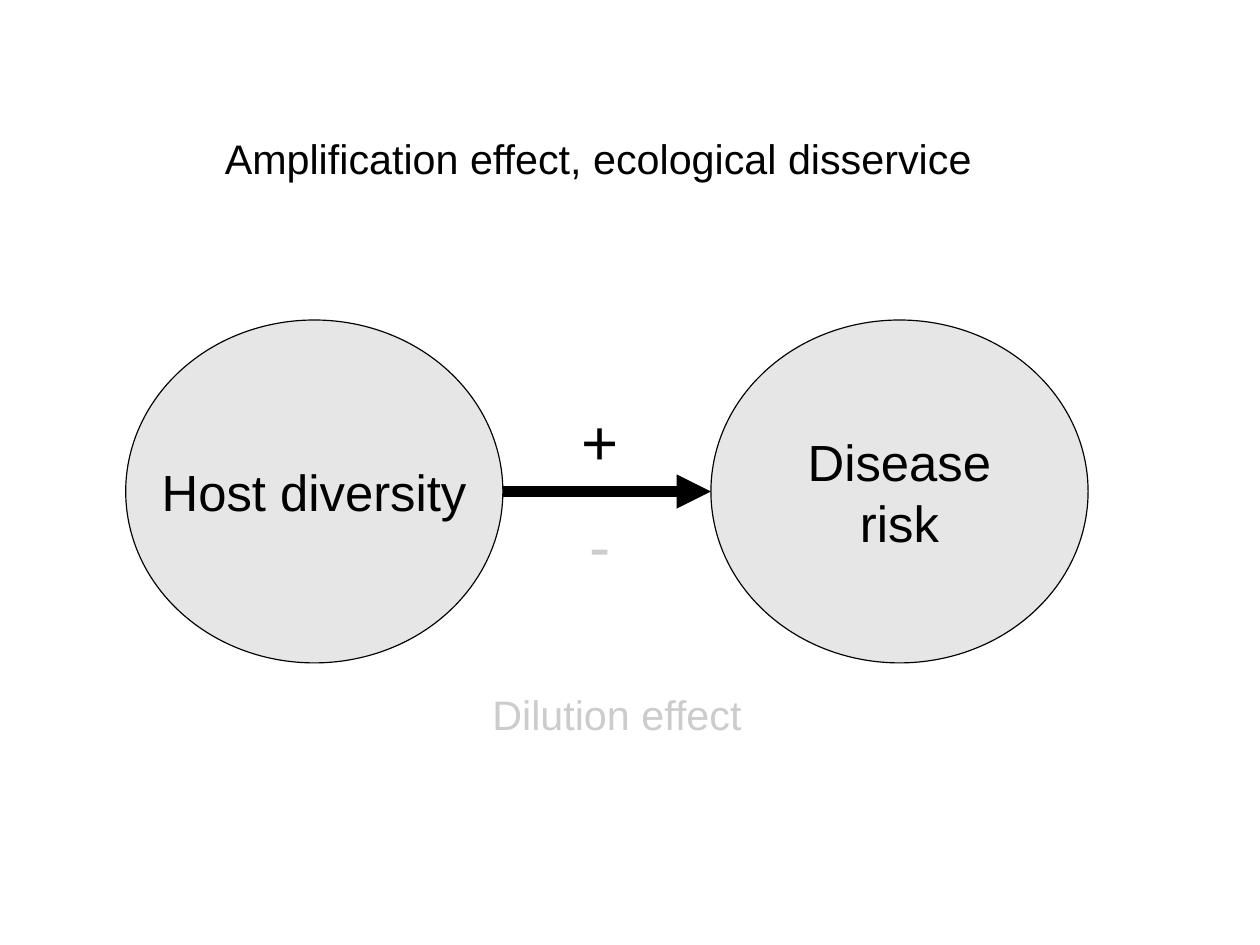
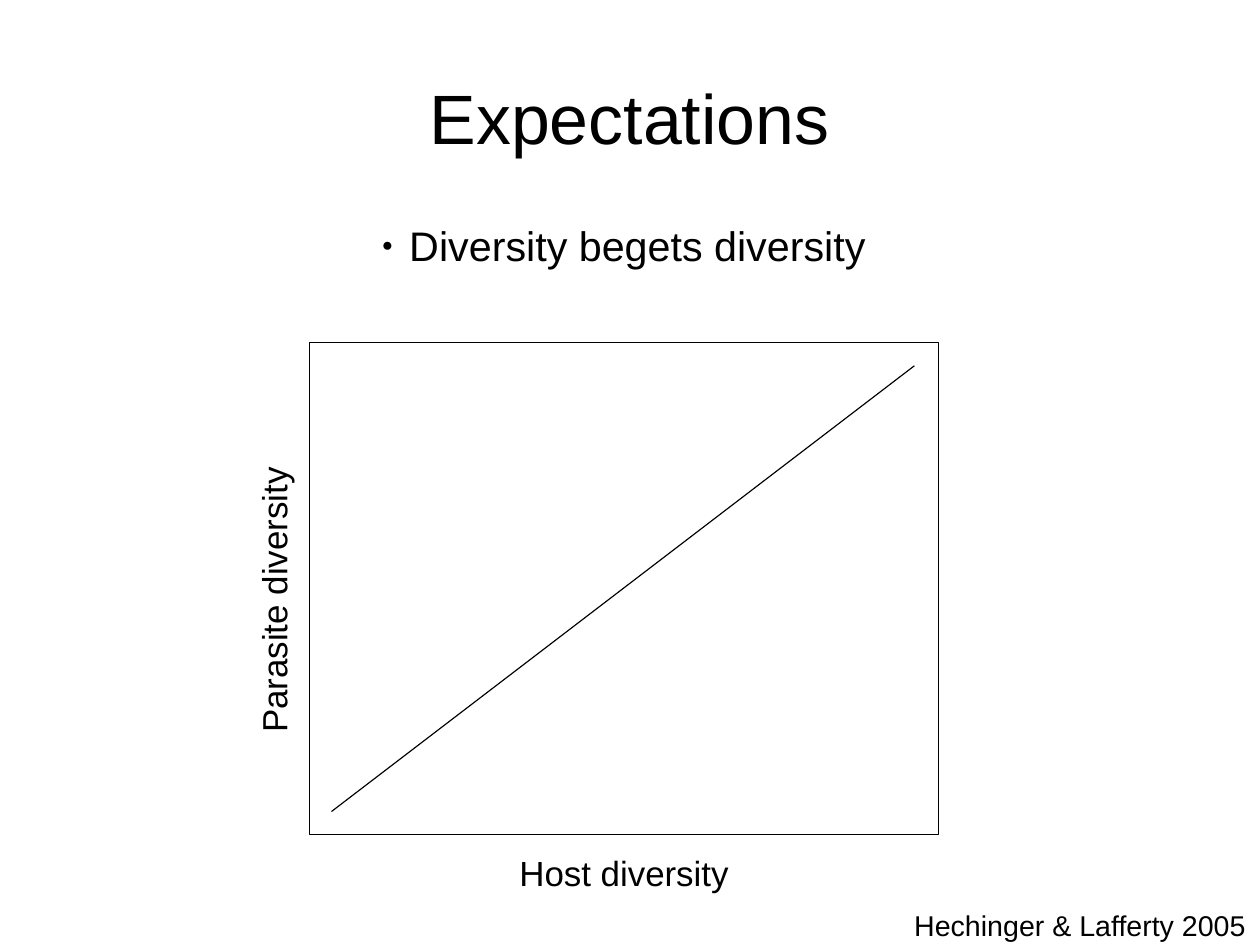
from pptx import Presentation
from pptx.dml.color import RGBColor
from pptx.enum.shapes import MSO_CONNECTOR as Link, MSO_SHAPE as Shape
from pptx.enum.text import MSO_ANCHOR as Anchor, PP_ALIGN as Align
from pptx.oxml.ns import qn
from pptx.util import Cm, Inches, Pt
from lxml.etree import SubElement

BLACK = RGBColor(0x00, 0x00, 0x00)
WHITE = RGBColor(0xFF, 0xFF, 0xFF)
PALE = RGBColor(0xE6, 0xE6, 0xE6)
GREY = RGBColor(0xCC, 0xCC, 0xCC)
FONT = "Arial"
THIN, THICK = 0.75, 7.2
PAD = (0.1, 0.05)
BARE = (0, 0)
PAGE = (Cm(28), Cm(21))  # metric page, 11.02 by 8.27 inches

# Effect slide: two nodes joined by an arrow
NODES = [["Host diversity"], ["Disease", "risk"]]
NODE_X, NODE_Y, NODE_W, NODE_H, NODE_GAP = 1.1, 2.8, 3.3, 3, 1.82
LABELS = [  # text, box, size, colour
    ("Dilution effect", (3.3, 5.98, 4.2, 1.45), 26, GREY),
    ("-", (4.8, 4.38, 0.9, 0.79), 40, GREY),
    ("+", (4.8, 3.47, 0.9, 0.79), 40, BLACK),
    ("Amplification effect, ecological disservice",
     (1.29, 1.12, 7.9, 1.44), 26, BLACK),
]

# Expectations slide: a sketched graph
TITLE = ("Expectations", (0.55, 0.33, 9.92, 1.38))
POINT = ("Diversity begets diversity", (0.5, 1.93, 9.92, 4.79))
PLOT = (2.71, 3, 5.5, 4.3)
TREND = ((2.9, 7.1), (8, 3.2))
AXES = [  # text, box, rotation
    ("Host diversity", (2.71, 7.4, 5.5, 0.48), 0),
    ("Parasite diversity", (-0.35, 5.01, 5.5, 0.48), 270),
]
SOURCE = ("Hechinger & Lafferty 2005", (7.9, 7.89, 3.12, 0.38))


def write(shape, lines, size, color=BLACK, align=Align.CENTER,
          anchor=Anchor.TOP, pad=PAD, wrap=True):
    frame = shape.text_frame
    side, edge = map(Inches, pad)
    form = dict(margin_left=side, margin_right=side, margin_top=edge,
                margin_bottom=edge, vertical_anchor=anchor, word_wrap=wrap)
    for name, value in form.items():
        setattr(frame, name, value)
    frame.text = "\n".join(lines)
    for para in frame.paragraphs:
        para.alignment = align
        font = para.runs[0].font
        for name, value in dict(name=FONT, size=Pt(size)).items():
            setattr(font, name, value)
        font.color.rgb = color


def add_text(slide, text, box, size, **form):
    shape = slide.shapes.add_textbox(*map(Inches, box))
    write(shape, [text], size, **form)
    return shape


def add_form(slide, kind, box, fill):
    shape = slide.shapes.add_shape(kind, *map(Inches, box))
    shape.shadow.inherit = False
    shape.fill.solid()
    shape.fill.fore_color.rgb = fill
    shape.line.color.rgb = BLACK
    shape.line.width = Pt(THIN)
    return shape


def add_line(slide, start, end, width, arrow=False):
    link = slide.shapes.add_connector(
        Link.STRAIGHT, *map(Inches, (*start, *end)))
    link.line.color.rgb = BLACK
    link.line.width = Pt(width)
    props = link._element.spPr
    if arrow:
        SubElement(props.find(qn("a:ln")), qn("a:tailEnd"), type="triangle")
    SubElement(props, qn("a:effectLst"))


def add_bullet(para, indent):
    props = para._p.get_or_add_pPr()
    props.set("marL", str(Inches(indent)))
    props.set("indent", str(-Inches(indent)))
    SubElement(props, qn("a:buSzPct"), val="45000")
    SubElement(props, qn("a:buFont"), typeface=FONT)
    SubElement(props, qn("a:buChar"), char="●")


def draw_effect(slide):
    step = NODE_W + NODE_GAP
    for i, lines in enumerate(NODES):
        box = (NODE_X + i * step, NODE_Y, NODE_W, NODE_H)
        node = add_form(slide, Shape.OVAL, box, PALE)
        write(node, lines, 32, anchor=Anchor.MIDDLE, wrap=False)
    mid = NODE_Y + NODE_H / 2
    add_line(slide, (NODE_X + NODE_W, mid), (NODE_X + step, mid),
             THICK, arrow=True)
    for text, box, size, color in LABELS:
        add_text(slide, text, box, size, color=color)


def draw_graph(slide):
    add_text(slide, *TITLE, 44, anchor=Anchor.MIDDLE, pad=BARE)
    point = add_text(slide, *POINT, 26, pad=BARE)
    add_bullet(point.text_frame.paragraphs[0], 0.24)
    add_form(slide, Shape.RECTANGLE, PLOT, WHITE)
    for text, box, turn in AXES:
        add_text(slide, text, box, 22).rotation = turn
    add_line(slide, *TREND, THIN)
    add_text(slide, *SOURCE, 18, align=Align.LEFT)


def main():
    deck = Presentation()
    deck.slide_width, deck.slide_height = PAGE
    for draw in (draw_effect, draw_graph):
        draw(deck.slides.add_slide(deck.slide_layouts[6]))
    deck.save("out.pptx")


if __name__ == "__main__":
    main()
